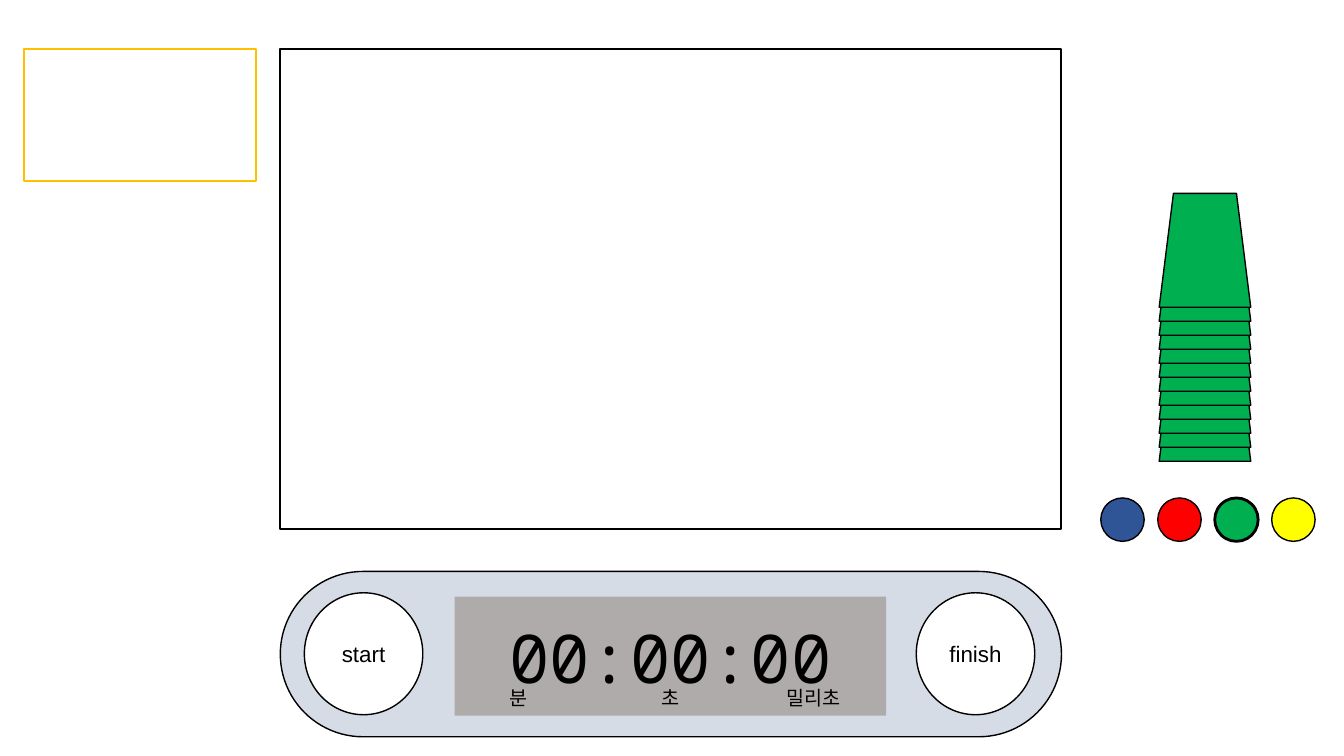
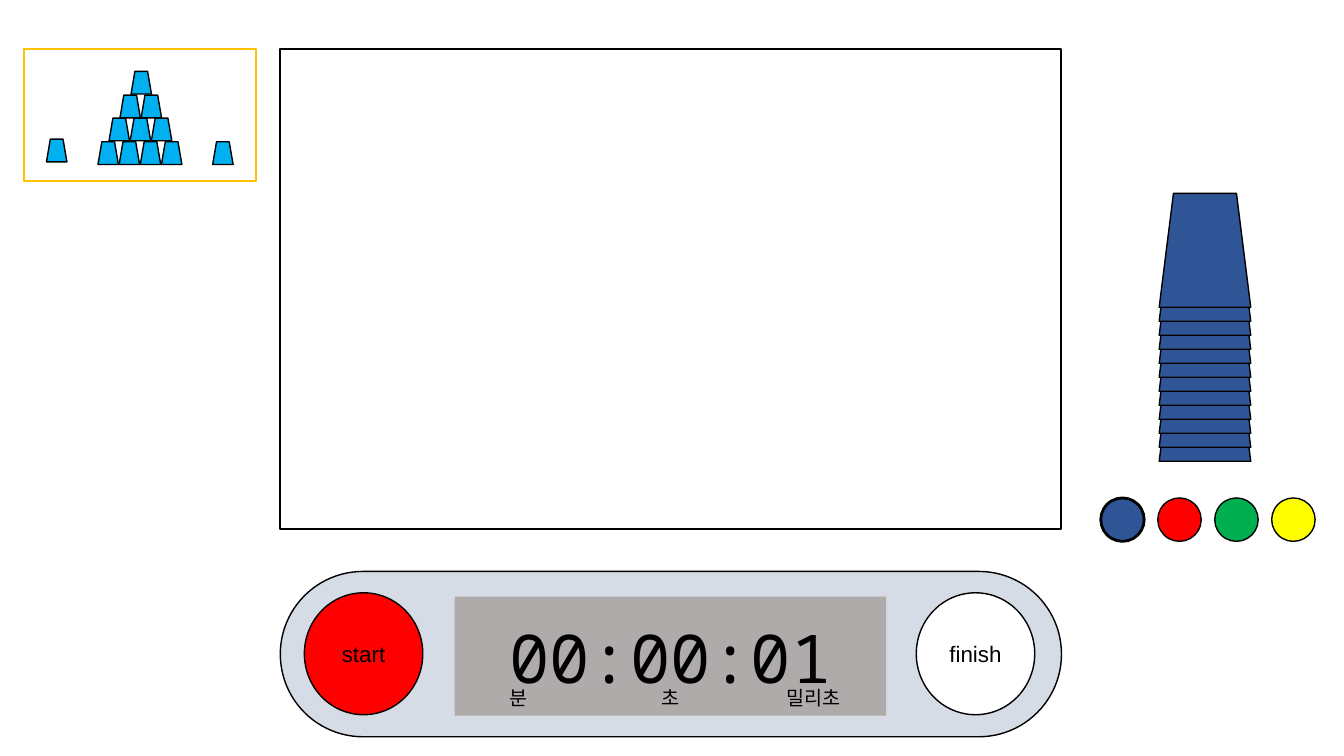
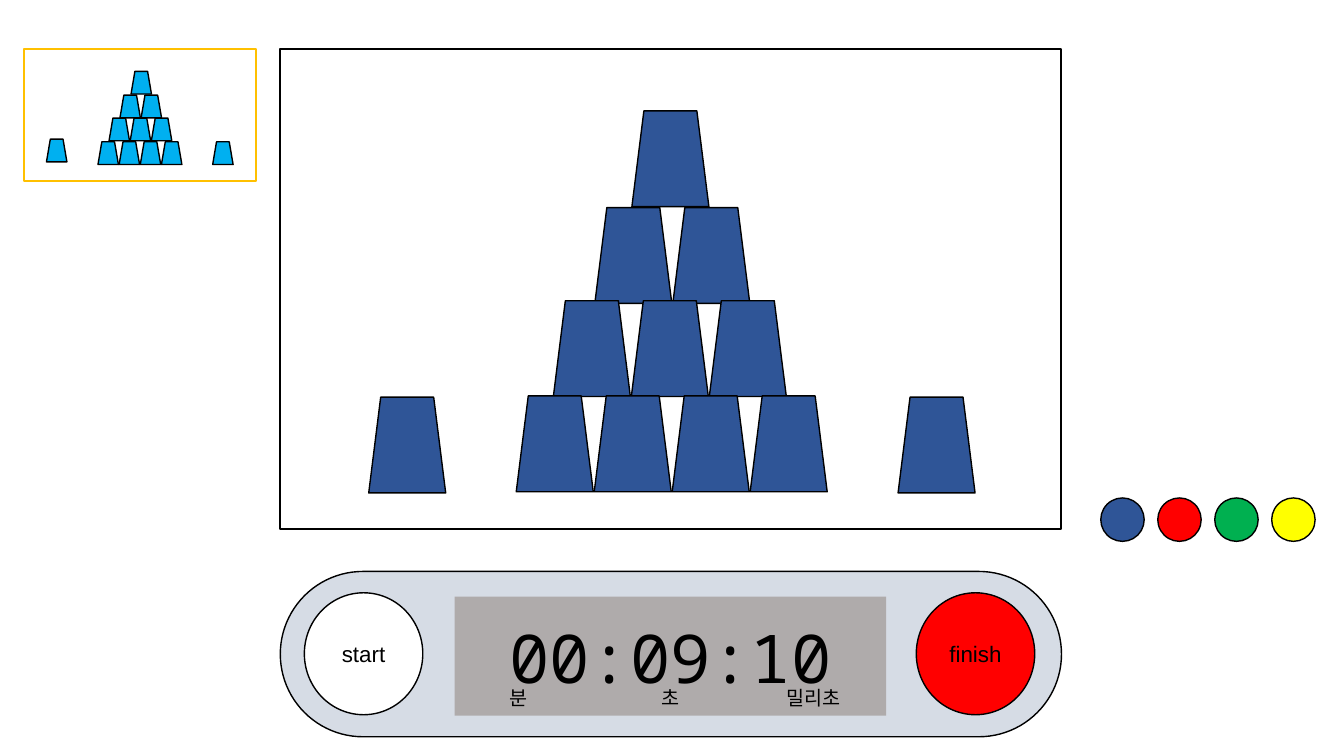
from pptx import Presentation
from pptx.dml.color import RGBColor
from pptx.enum import shapes, text
from pptx.util import Pt

# Palette and fonts
BLACK, WHITE, RED, GREEN, BLUE = "000000", "FFFFFF", "FF0000", "00B050", "2F5597"
YELLOW, SKY, GOLD, PANEL, SCREEN = "FFFF00", "00B0F0", "FFC000", "D6DCE5", "AFABAB"
SANS, MONO = "Arial", "Noto Sans Mono"

# Content: one entry per slide
SLIDES = [
    {"time": "00:00:00", "stack": GREEN, "chosen": GREEN},
    {"time": "00:00:01", "stack": BLUE, "chosen": BLUE, "pressed": "start", "task": True},
    {"time": "00:09:10", "pressed": "finish", "task": True, "built": BLUE},
]
BUTTONS = [("start", 217.4), ("finish", 654.5)]
UNITS = [("분", 357, 28.8), ("초", 465.8, 28.8), ("밀리초", 554.4, 56.9)]
CUP_COLOURS = [BLUE, RED, GREEN, YELLOW]

# Geometry: left, top, width, height
BOARD = (200.2, 35.3, 558, 342.7)
PREVIEW = (17.3, 35.3, 165.6, 94.3)
TIMER = (200.2, 408.2, 558, 118.1)
DISPLAY = (324.7, 426.2, 308.2, 85)

# Cup arrangements: row starts from the apex down, then the single cups
TASK = {
    "size": (14.6, 16.2), "step": 15.1, "slant": 0.189,
    "rows": [(93.6, 51), (85.7, 68), (77.9, 84.4), (70, 101.3)],
    "singles": [(33.2, 99.4), (151.9, 101.3)],
}
BUILD = {
    "size": (55, 68.4), "step": 55.7, "slant": 0.156,
    "rows": [(451.4, 79.2), (424.9, 148.3), (395.3, 214.8), (368.8, 282.8)],
    "singles": [(263.4, 283.7), (641.5, 283.7)],
}


def colour(value):
    return RGBColor.from_string(value)


def write(shape, words, size=16, font=SANS, align=text.PP_ALIGN.CENTER):
    paragraph = shape.text_frame.paragraphs[0]
    paragraph.alignment = align
    run = paragraph.add_run()
    run.text = words
    run.font.size, run.font.name = Pt(size), font
    run.font.color.rgb = colour(BLACK)


def add(parent, kind, box, fill=WHITE, line=BLACK, weight=1, adjust=None):
    preset = getattr(shapes.MSO_SHAPE, kind)
    shape = parent.shapes.add_shape(preset, *map(Pt, box))
    shape.shadow.inherit = False
    shape.fill.solid()
    shape.fill.fore_color.rgb = colour(fill)
    if line:
        shape.line.color.rgb = colour(line)
        shape.line.width = Pt(weight)
    else:
        shape.line.fill.background()
    if adjust is not None:
        shape.adjustments[0] = adjust
    return shape


def add_timer(slide, time, pressed):
    timer = slide.shapes.add_group_shape()
    add(timer, "ROUNDED_RECTANGLE", TIMER, PANEL, adjust=0.5)
    for name, left in BUTTONS:
        fill = RED if name == pressed else WHITE
        write(add(timer, "OVAL", (left, 423.4, 84.6, 87.1), fill), name)
    write(add(timer, "RECTANGLE", DISPLAY, SCREEN, line=None), time, size=48, font=MONO)


def add_units(slide):
    for name, left, width in UNITS:
        label = slide.shapes.add_textbox(Pt(left), Pt(486.7), Pt(width), Pt(24.2))
        label.text_frame.word_wrap = False
        label.text_frame.auto_size = text.MSO_AUTO_SIZE.SHAPE_TO_FIT_TEXT
        write(label, name, size=14, align=text.PP_ALIGN.LEFT)


def add_stack(slide, fill, count=12):
    stack = slide.shapes.add_group_shape()
    for level in reversed(range(count)):
        add(stack, "TRAPEZOID", (828, 138.2 + 10 * level, 65.4, 81.3), fill, adjust=0.156)


def add_pyramid(slide, plan, fill):
    places = [(left + column * plan["step"], top)
              for row, (left, top) in enumerate(plan["rows"])
              for column in range(row + 1)]
    for place in places + plan["singles"]:
        add(slide, "TRAPEZOID", place + plan["size"], fill, adjust=plan["slant"])


def add_colour_picker(slide, chosen):
    for index, fill in enumerate(CUP_COLOURS):
        add(slide, "OVAL", (786.3 + 40.7 * index, 355.7, 31, 31), fill,
            weight=2 if fill == chosen else 1)


def main():
    presentation = Presentation()
    presentation.slide_width, presentation.slide_height = Pt(960), Pt(540)
    for content in SLIDES:
        slide = presentation.slides.add_slide(presentation.slide_layouts[6])
        add(slide, "RECTANGLE", BOARD, weight=1.5)
        add_timer(slide, content["time"], content.get("pressed"))
        add(slide, "RECTANGLE", PREVIEW, line=GOLD, weight=1.5)
        if "task" in content:
            add_pyramid(slide, TASK, SKY)
        if "stack" in content:
            add_stack(slide, content["stack"])
        if "built" in content:
            add_pyramid(slide, BUILD, content["built"])
        add_colour_picker(slide, content.get("chosen"))
        add_units(slide)
    presentation.save("out.pptx")


if __name__ == "__main__":
    main()
